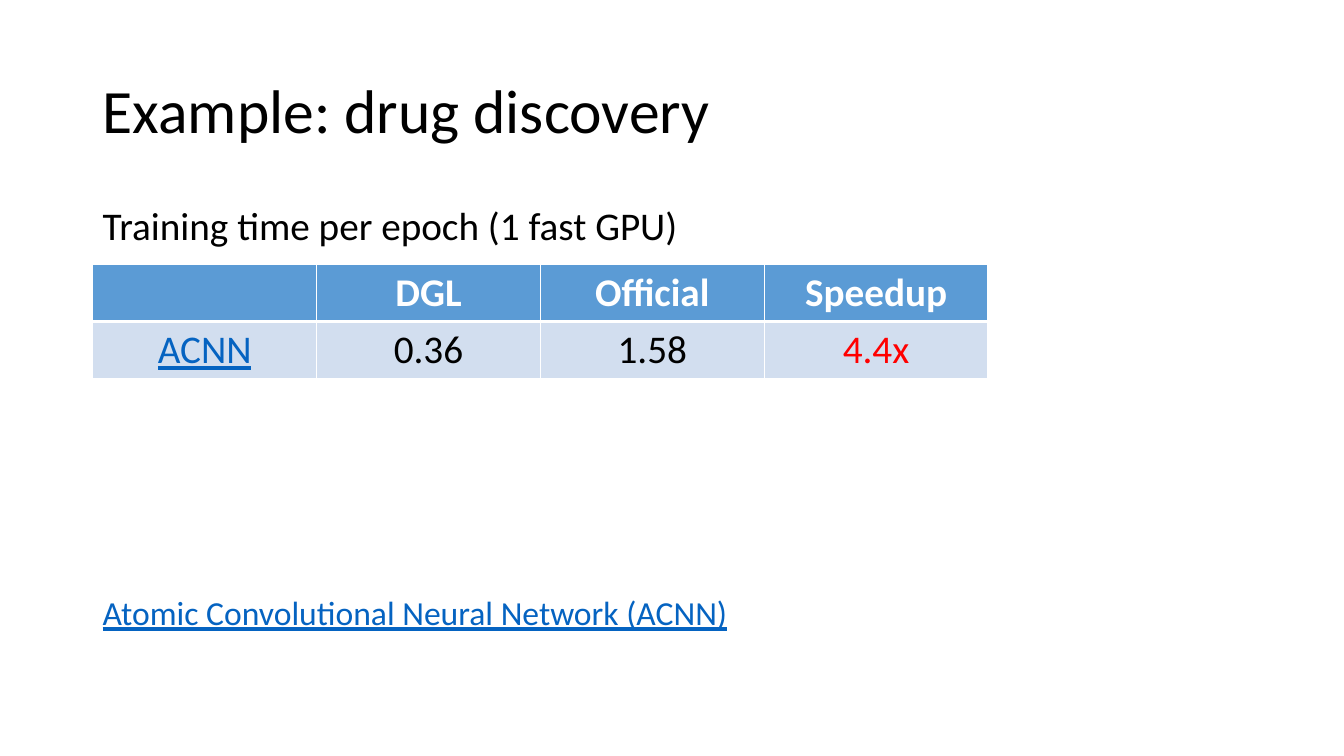
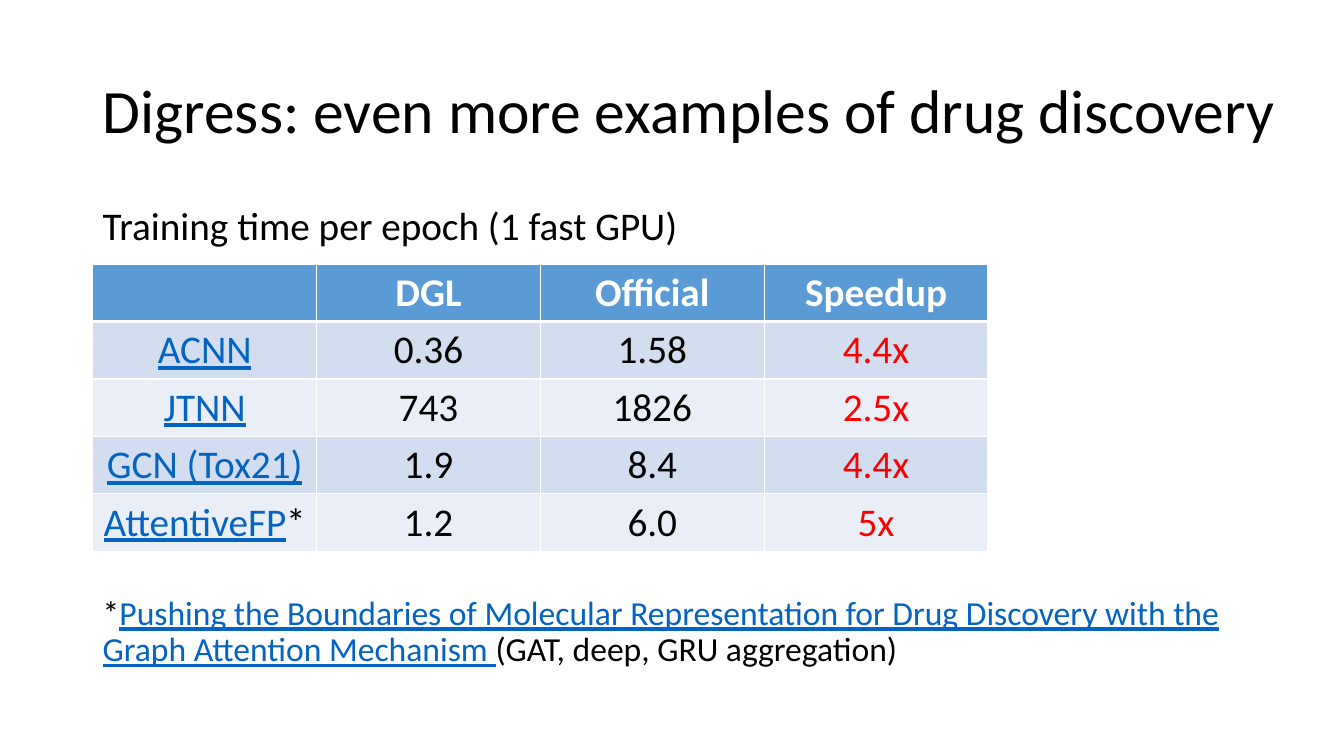
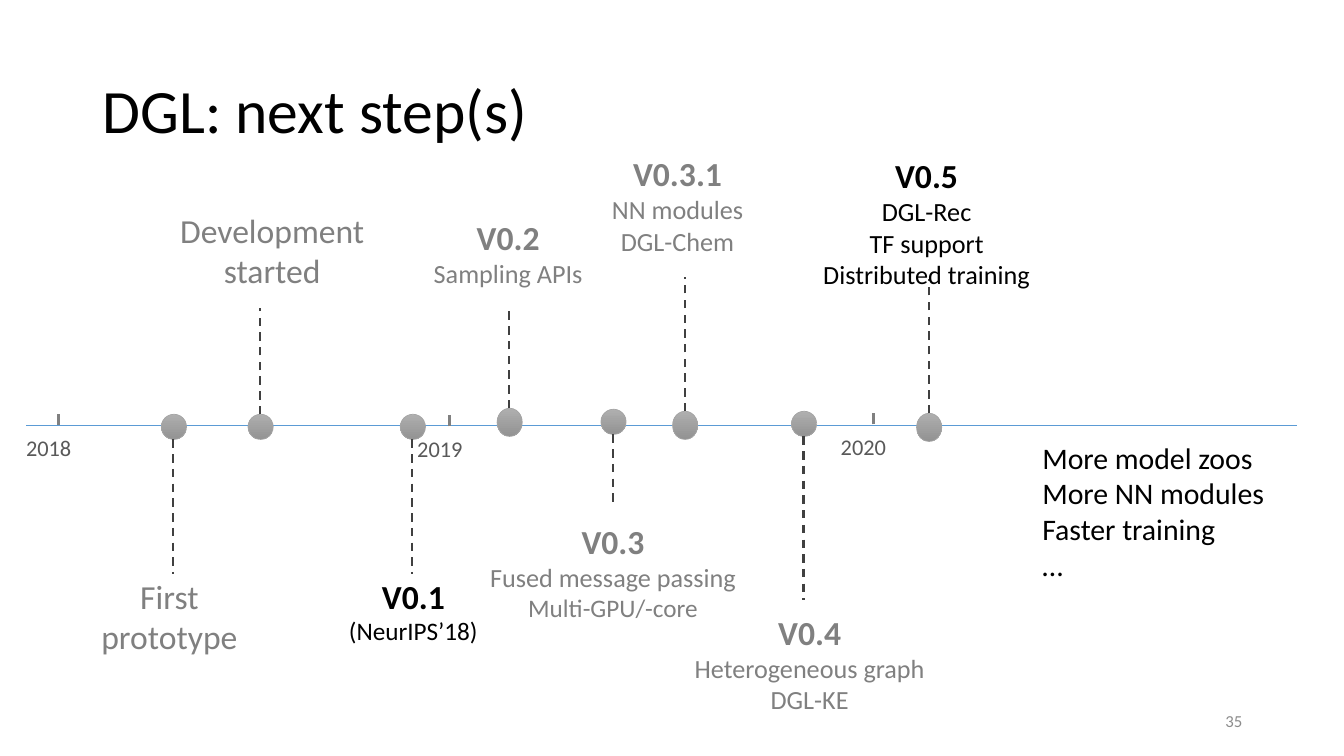
from lxml import etree
from pptx import Presentation
from pptx.dml.color import RGBColor
from pptx.enum.dml import MSO_LINE
from pptx.enum.shapes import MSO_CONNECTOR, MSO_SHAPE
from pptx.enum.text import MSO_ANCHOR, PP_ALIGN
from pptx.oxml.ns import qn
from pptx.util import Pt

PX = 9144  # 100 px to the inch
FONT = "Calibri"
BLACK, WHITE, RED = "000000", "FFFFFF", "FF0000"
LINK, BLUE = "0563C1", "5B9BD5"
BANDS = ("D2DEEF", "EAEFF7")
GRAY, DARK, YEAR_GRAY, PAGE_GRAY = "808080", "404040", "595959", "8C8C8C"
DOT_LINE, DOT_TOP, DOT_BOTTOM = "A5A5A5", "AFAFAF", "939393"
LEFT, CENTER, RIGHT = PP_ALIGN.LEFT, PP_ALIGN.CENTER, PP_ALIGN.RIGHT
TOP, MIDDLE = MSO_ANCHOR.TOP, MSO_ANCHOR.MIDDLE
STRAIGHT, OVAL, DASH = MSO_CONNECTOR.STRAIGHT, MSO_SHAPE.OVAL, MSO_LINE.DASH

MARGIN, BODY_WIDTH = 92, 1150
LINKED = {"color": LINK, "underline": True}
COLUMN_WIDTH, ROW_HEIGHT = 222, 57
HEADER = ["", "DGL", "Official", "Speedup"]
ACNN = ["ACNN", "0.36", "1.58", "4.4x"]
MODELS = [
    ACNN,
    ["JTNN", "743", "1826", "2.5x"],
    ["GCN (Tox21)", "1.9", "8.4", "4.4x"],
    ["AttentiveFP*", "1.2", "6.0", "5x"],
]
AXIS_Y, DOT_WIDTH, TICK_HEIGHT = 422, 25, 11
# year, tick x, tick foot y
YEARS = [("2018", 58, 422), ("2019", 446, 423), ("2020", 866, 421)]
# centre x, dot top, dot height, stem end y, label box, colour, heading, details, detail sizes
RELEASES = [
    (505, 405, 28, 306, (415, 210, 178, 82), GRAY, "V0.2", ["Sampling APIs"], [18.7]),
    (608, 406, 25, 502, (461, 512, 294, 116), GRAY, "V0.3",
     ["Fused message passing", "Multi-GPU/-core"], [18.7, 18]),
    (679, 408, 28, 275, (583, 147, 178, 113), GRAY, "V0.3.1",
     ["NN modules", "DGL-Chem"], [18.7, 18.7]),
    (797, 408, 25, 595, (656, 602, 294, 113), GRAY, "V0.4",
     ["Heterogeneous graph", "DGL-KE"], [18.7, 18.7]),
    (921, 410, 28, 277, (803, 149, 232, 145), BLACK, "V0.5",
     ["DGL-Rec", "TF support", "Distributed training"], [18.7, 18.7, 18.7]),
    (409, 411, 25, 569, (328, 566, 164, 121), BLACK, "V0.1", ["(NeurIPS’18)"], [18]),
]
BEGINNINGS = [
    (172, 411, 25, 569, (79, 566, 178, 91), "First prototype"),
    (258, 411, 25, 306, (160, 203, 220, 91), "Development started"),
]


def rgb(color):
    return RGBColor.from_string(color)


def scaled(*lengths):
    return [length * PX for length in lengths]


def write(frame, paras, size, color=BLACK, align=LEFT, spacing=None, **shared):
    """Each para is a list of (text, format) spans; a span's format overrides the shared one."""
    for index, spans in enumerate(paras):
        para = frame.add_paragraph() if index else frame.paragraphs[0]
        para.alignment = align
        if spacing:
            para.line_spacing = spacing
        for text, own in spans:
            values = {"name": FONT, "size": size, "color": color, **shared, **own}
            span = para.add_run()
            span.text = text
            span.font.color.rgb = rgb(values.pop("color"))
            values["size"] = Pt(values["size"])
            for name, value in values.items():
                setattr(span.font, name, value)


def add_text(page, place, paras, size, anchor=TOP, wrap=True, **style):
    frame = page.shapes.add_textbox(*scaled(*place)).text_frame
    frame.word_wrap = wrap
    frame.vertical_anchor = anchor
    write(frame, paras, size, **style)


def add_line(page, ends, color, width, dash=None):
    line = page.shapes.add_connector(STRAIGHT, *scaled(*ends))
    line.line.color.rgb = rgb(color)
    line.line.width = Pt(width)
    if dash:
        line.line.dash_style = dash
    etree.SubElement(line._element.spPr, qn("a:effectLst"))


def add_title(deck, title, width=1187):
    page = deck.slides.add_slide(deck.slide_layouts[6])
    add_text(page, (MARGIN, 40, width, 145), [[(title, {})]], 44, MIDDLE, spacing=0.9)
    return page


def set_borders(cell, widths):
    properties = cell._tc.get_or_add_tcPr()
    for side, width in zip("LRTB", widths):
        border = etree.SubElement(properties, qn("a:ln" + side), w=str(Pt(width)))
        fill = etree.SubElement(border, qn("a:solidFill"))
        etree.SubElement(fill, qn("a:srgbClr"), val=WHITE)


def cell_spans(text, row, column):
    if not text:
        return []
    if row == 0:
        return [(text, {"color": WHITE, "bold": True})]
    if column == 0:
        name = text.rstrip("*")
        return [(name, LINKED)] + ([("*", {})] if name != text else [])
    return [(text, {"color": RED if column == len(HEADER) - 1 else BLACK})]


def add_timings(page, models):
    rows = [HEADER] + models
    size = (COLUMN_WIDTH * len(HEADER), ROW_HEIGHT * len(rows))
    table = page.shapes.add_table(len(rows), len(HEADER), *scaled(MARGIN, 262, *size)).table
    table.first_row = table.horz_banding = False
    for row, texts in enumerate(rows):
        for column, text in enumerate(texts):
            cell = table.cell(row, column)
            set_borders(cell, (1, 1, 3 if row == 1 else 1, 3 if row == 0 else 1))
            cell.fill.solid()
            cell.fill.fore_color.rgb = rgb(BANDS[(row - 1) % 2] if row else BLUE)
            cell.vertical_anchor = MIDDLE
            write(cell.text_frame, [cell_spans(text, row, column)], 28, align=CENTER)


def add_timing_page(deck, title, models, source):
    page = add_title(deck, title)
    add_timings(page, models)
    add_text(page, (MARGIN, 200, BODY_WIDTH, 125),
             [[("Training time per epoch (1 fast GPU)", {})]], 28, spacing=0.9)
    add_text(page, (MARGIN, 587, BODY_WIDTH, 125), [source], 24, spacing=0.9)


def add_year(page, year, x, foot):
    add_line(page, (x, foot, x, foot - TICK_HEIGHT), GRAY, 2.25)
    add_text(page, (x - 42, foot + 4, 66, 37), [[(year, {})]], 16, wrap=False, color=YEAR_GRAY)


def add_milestone(page, x, top, height, stem_end, place, paras, color):
    """Dot on the axis, dashed stem up or down, and centred label at its end."""
    dot = page.shapes.add_shape(OVAL, *scaled(x - DOT_WIDTH // 2, top, DOT_WIDTH, height))
    dot.shadow.inherit = False
    dot.fill.gradient()
    dot.fill.gradient_angle = 270
    for stop, shade in zip(dot.fill.gradient_stops, (DOT_TOP, DOT_BOTTOM)):
        stop.color.rgb = rgb(shade)
    dot.line.color.rgb = rgb(DOT_LINE)
    dot.line.width = Pt(0.5)
    stem_start = top if stem_end < top else top + height
    add_line(page, (x, stem_start, x, stem_end), DARK, 1.5, DASH)
    add_text(page, place, paras, 24, color=color, align=CENTER)


def add_timeline_page(deck):
    page = add_title(deck, "DGL: next step(s)", BODY_WIDTH)
    add_text(page, (942, 695, 300, 40), [[("35", {})]], 12, MIDDLE, color=PAGE_GRAY, align=RIGHT)
    add_line(page, (26, AXIS_Y, 1286, AXIS_Y), BLUE, 1)
    for year in YEARS:
        add_year(page, *year)
    for *position, label in BEGINNINGS:
        add_milestone(page, *position, [[(label, {})]], GRAY)
    for *position, color, heading, details, sizes in RELEASES:
        paras = [[(heading, {"bold": True})]]
        paras += [[(text, {"size": size})] for text, size in zip(details, sizes)]
        add_milestone(page, *position, paras, color)
    plans = ["More model zoos", "More NN modules", "Faster training", "…"]
    add_text(page, (1024, 431, 262, 154), [[(plan, {})] for plan in plans], 21.3)


def main():
    deck = Presentation()
    deck.slide_width, deck.slide_height = scaled(1333, 750)
    add_timing_page(deck, "Example: drug discovery", [ACNN],
                    [("Atomic Convolutional Neural Network (ACNN)", LINKED)])
    add_timing_page(deck, "Digress: even more examples of drug discovery", MODELS, [
        ("*", {}),
        ("Pushing the Boundaries of Molecular Representation for Drug Discovery "
         "with the Graph Attention Mechanism ", LINKED),
        ("(GAT, deep, GRU aggregation)", {}),
    ])
    add_timeline_page(deck)
    deck.save("out.pptx")


if __name__ == "__main__":
    main()
